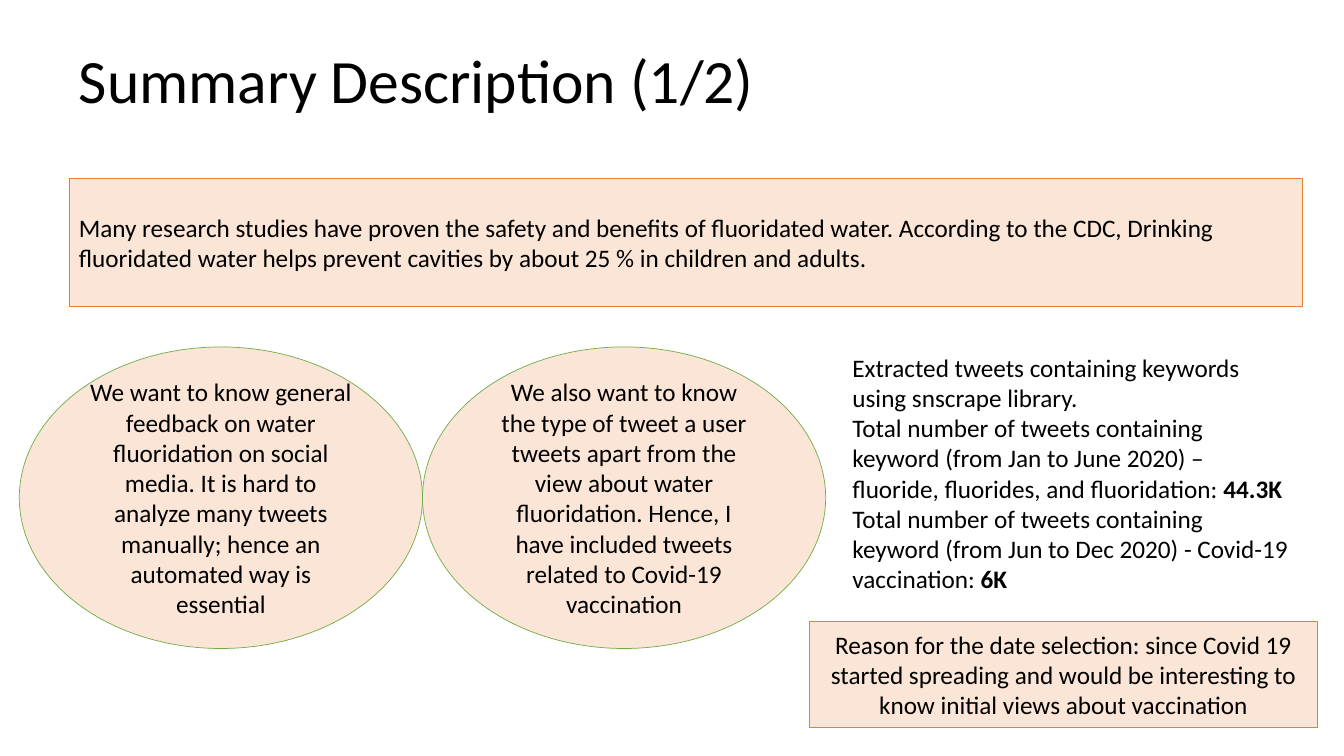
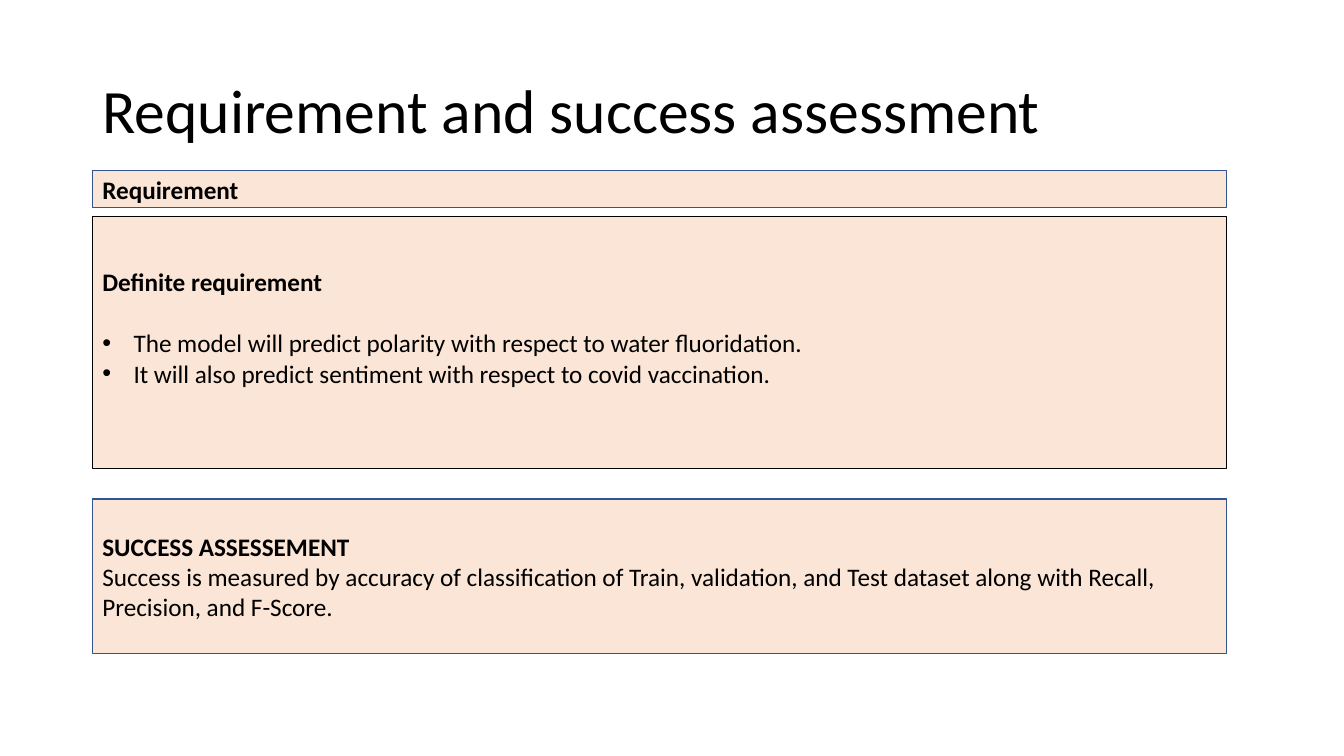
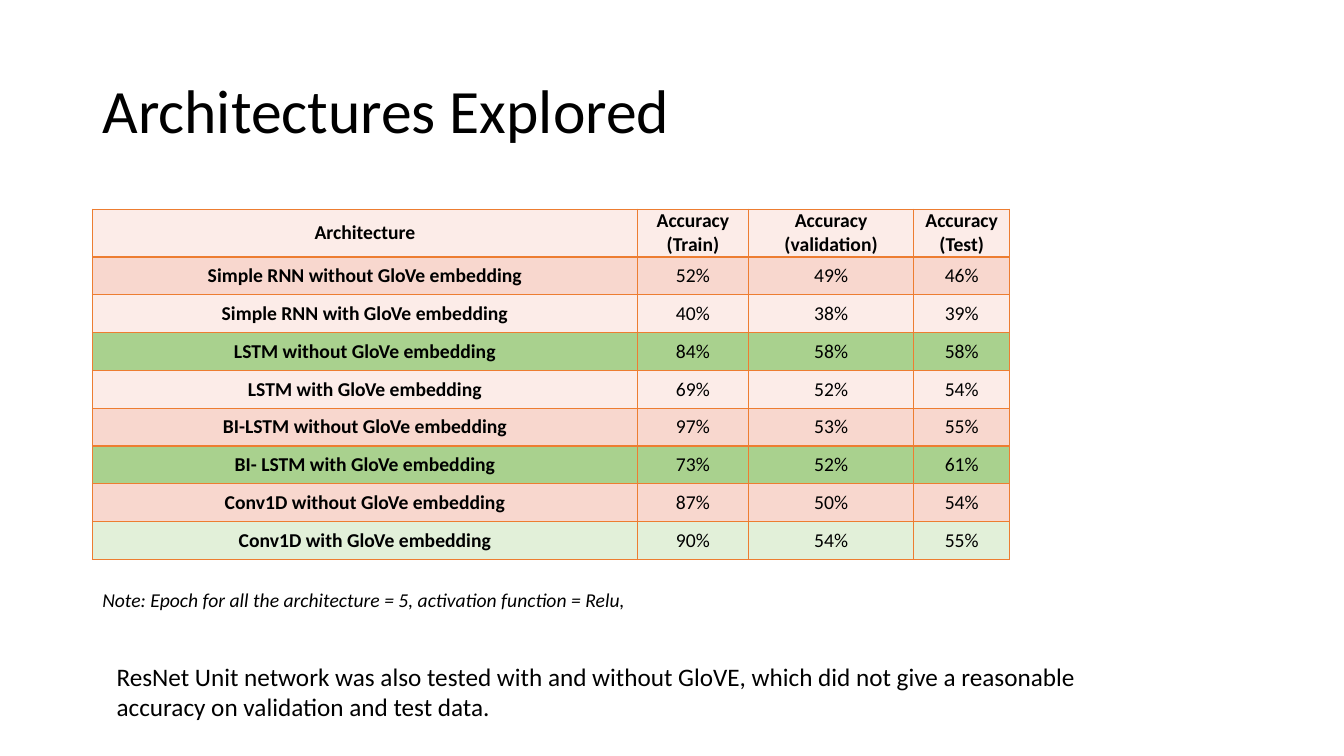
from lxml import etree
from pptx import Presentation
from pptx import util as u
from pptx.dml.color import RGBColor
from pptx.enum import shapes, text
from pptx.oxml import ns

COLUMNS, ROWS = 160, 90
CELL = u.Inches(1) / 12
INK, PEACH, ORANGE, GREEN, BLUE = "000000", "FBE5D6", "ED7D31", "70AD47", "325491"
PALE, ROSE, LEAF, MINT = "FCECE8", "F8D7CE", "A9D18E", "E2F0D9"
LEFT, CENTER = text.PP_ALIGN.LEFT, text.PP_ALIGN.CENTER
TOP, MIDDLE = text.MSO_ANCHOR.TOP, text.MSO_ANCHOR.MIDDLE
RECTANGLE, OVAL = shapes.MSO_SHAPE.RECTANGLE, shapes.MSO_SHAPE.OVAL
BOLD = {"bold": True}
ITALIC = {"italic": True}


def grid(*cells):
    """Turn grid columns or rows into lengths."""
    return [u.Emu(round(cell * CELL)) for cell in cells]


def color(value):
    return RGBColor.from_string(value)


def assign(target, values):
    for name, value in values.items():
        setattr(target, name, value)


def add_bullet(para):
    props = para._p.get_or_add_pPr()
    indent = u.Inches(0.31)
    props.set("marL", str(indent))
    props.set("indent", str(-indent))
    etree.SubElement(props, ns.qn("a:buFont")).set("typeface", "Arial")
    etree.SubElement(props, ns.qn("a:buChar")).set("char", "•")


def add_borders(cell, line_color):
    props = cell._tc.get_or_add_tcPr()
    for index, side in enumerate(("lnL", "lnR", "lnT", "lnB")):
        line = etree.Element(ns.qn("a:" + side), w=str(u.Pt(1)))
        fill = etree.SubElement(line, ns.qn("a:solidFill"))
        etree.SubElement(fill, ns.qn("a:srgbClr")).set("val", line_color)
        props.insert(index, line)


class Deck:
    """Shared style and the slide being built."""

    font = {"name": "Calibri", "size": u.Pt(18), "bold": False}

    def __init__(self):
        self.file = Presentation()
        self.file.slide_width, self.file.slide_height = grid(COLUMNS, ROWS)
        self.page = None

    def fill_text(self, frame, paras, align=LEFT, anchor=TOP, para_style=None, **font):
        """Fill a frame; a paragraph is a string or a list of (text, format)."""
        assign(frame, {"word_wrap": True, "vertical_anchor": anchor})
        for index, spans in enumerate(paras):
            para = frame.paragraphs[0] if index == 0 else frame.add_paragraph()
            assign(para, {"alignment": align, **(para_style or {})})
            for words, style in [(spans, {})] if isinstance(spans, str) else spans:
                span = para.add_run()
                span.text = words
                assign(span.font, {**self.font, **font, **style})
                span.font.color.rgb = color(INK)

    def new_page(self, title, place=(11, 4.8, 138, 17.4)):
        self.page = self.file.slides.add_slide(self.file.slide_layouts[5])
        holder = self.page.shapes.title
        assign(holder, dict(zip(("left", "top", "width", "height"), grid(*place))))
        holder.text_frame.auto_size = text.MSO_AUTO_SIZE.NONE
        self.fill_text(holder.text_frame, [title], anchor=MIDDLE,
                       para_style={"line_spacing": 0.9}, size=u.Pt(44))

    def panel(self, place, paras, line, weight=1, kind=RECTANGLE, align=LEFT):
        box = self.page.shapes.add_shape(kind, *grid(*place))
        box.shadow.inherit = False
        box.fill.solid()
        box.fill.fore_color.rgb = color(PEACH)
        box.line.color.rgb = color(line)
        box.line.width = u.Pt(weight)
        self.fill_text(box.text_frame, paras, align, MIDDLE)
        return box.text_frame

    def label(self, place, paras, **font):
        box = self.page.shapes.add_textbox(*grid(*place))
        self.fill_text(box.text_frame, paras, **font)

    def table(self, left, top, widths, heights, rows, fills):
        place = grid(left, top, sum(widths), sum(heights))
        table = self.page.shapes.add_table(len(rows), len(widths), *place).table
        assign(table, {"first_row": False, "horz_banding": False})
        for column, width in zip(table.columns, grid(*widths)):
            column.width = width
        for row, height in zip(table.rows, grid(*heights)):
            row.height = height
        margins = {"margin_left": u.Inches(0.07), "margin_right": u.Inches(0.07),
                   "margin_top": 0, "margin_bottom": 0, "vertical_anchor": MIDDLE}
        for r, (values, fill) in enumerate(zip(rows, fills)):
            for c, value in enumerate(values):
                cell = table.cell(r, c)
                self.fill_text(cell.text_frame, [value], CENTER,
                               size=u.Pt(14), bold=r == 0 or c == 0)
                assign(cell, margins)
                cell.fill.solid()
                cell.fill.fore_color.rgb = color(fill)
                add_borders(cell, ORANGE)


def summary(deck):
    deck.new_page("Summary Description (1/2)", (8.2, 3.4, 140.8, 13.2))
    deck.panel((8.2, 21.2, 146.8, 15.3), [
        "Many research studies have proven the safety and benefits of fluoridated water. "
        "According to the CDC, Drinking fluoridated water helps prevent cavities by about "
        "25 % in children and adults."], ORANGE, 0.5)

    # Two touching ovals
    goals = [
        "We want to know general feedback on water fluoridation on social media. It is hard "
        "to analyze many tweets manually; hence an automated way is essential",
        "We also want to know the type of tweet a user tweets apart from the view about water "
        "fluoridation. Hence, I have included tweets related to Covid-19 vaccination"]
    for index, goal in enumerate(goals):
        deck.panel((2.3 + 48 * index, 41.3, 48, 35.9), [goal], GREEN, 0.5, OVAL, CENTER)

    # Data collection
    deck.label((100.3, 41.3, 54.6, 34), [
        "Extracted tweets containing keywords using snscrape library.",
        [("Total number of tweets containing keyword (from Jan to June 2020) – fluoride, "
          "fluorides, and fluoridation: ", {}), ("44.3K", BOLD)],
        [("Total number of tweets containing keyword (from Jun to Dec 2020) - Covid-19 "
          "vaccination:", {}), (" 6K", BOLD)]])
    deck.panel((96.4, 74, 60.4, 12.6), [
        "Reason for the date selection: since Covid 19 started spreading and would be "
        "interesting to know initial views about vaccination"], ORANGE, 0.5, align=CENTER)


def requirements(deck):
    deck.new_page("Requirement and success assessment")
    frame = deck.panel((11, 25.8, 135, 30), [
        [("Definite requirement", BOLD)],
        "The model will predict polarity with respect to water fluoridation.",
        "It will also predict sentiment with respect to covid vaccination."], INK)
    frame.margin_bottom = u.Inches(0.35)
    heading, *points = frame.paragraphs
    heading.space_after = u.Pt(22)
    for point in points:
        add_bullet(point)
    deck.panel((11, 59.4, 135, 18.4), [
        [("SUCCESS ASSESSEMENT", BOLD)],
        "Success is measured by accuracy of classification of Train, validation, and Test "
        "dataset along with Recall, Precision, and F-Score."], BLUE)
    deck.panel((11, 20.3, 135, 4.4), [[("Requirement", BOLD)]], BLUE)


def architectures(deck):
    deck.new_page("Architectures Explored")
    rows = [
        ("Architecture", "Accuracy (Train)", "Accuracy (validation)", "Accuracy (Test)"),
        ("Simple RNN without GloVe embedding", "52%", "49%", "46%"),
        ("Simple RNN with GloVe embedding", "40%", "38%", "39%"),
        ("LSTM without GloVe embedding", "84%", "58%", "58%"),
        ("LSTM with GloVe embedding", "69%", "52%", "54%"),
        ("BI-LSTM without GloVe embedding", "97%", "53%", "55%"),
        ("BI- LSTM with GloVe embedding", "73%", "52%", "61%"),
        ("Conv1D without GloVe embedding", "87%", "50%", "54%"),
        ("Conv1D with GloVe embedding", "90%", "54%", "55%")]
    fills = [PALE, ROSE, PALE, LEAF, PALE, ROSE, LEAF, ROSE, MINT]
    deck.table(11, 24.9, (64.9, 13.2, 19.7, 11.4), [5.7] + [4.5] * 8, rows, fills)

    # Remarks under the table
    deck.label((11, 69.4, 111.6, 4.1), [
        [("Note: Epoch for all the architecture = 5, activation function = Relu,", ITALIC)]],
        size=u.Pt(14))
    deck.label((12.7, 78.1, 120.1, 8.5), [
        "ResNet Unit network was also tested with and without GloVE, which did not give a "
        "reasonable accuracy on validation and test data."])


def main():
    deck = Deck()
    for build in (summary, requirements, architectures):
        build(deck)
    deck.file.save("out.pptx")


if __name__ == "__main__":
    main()
